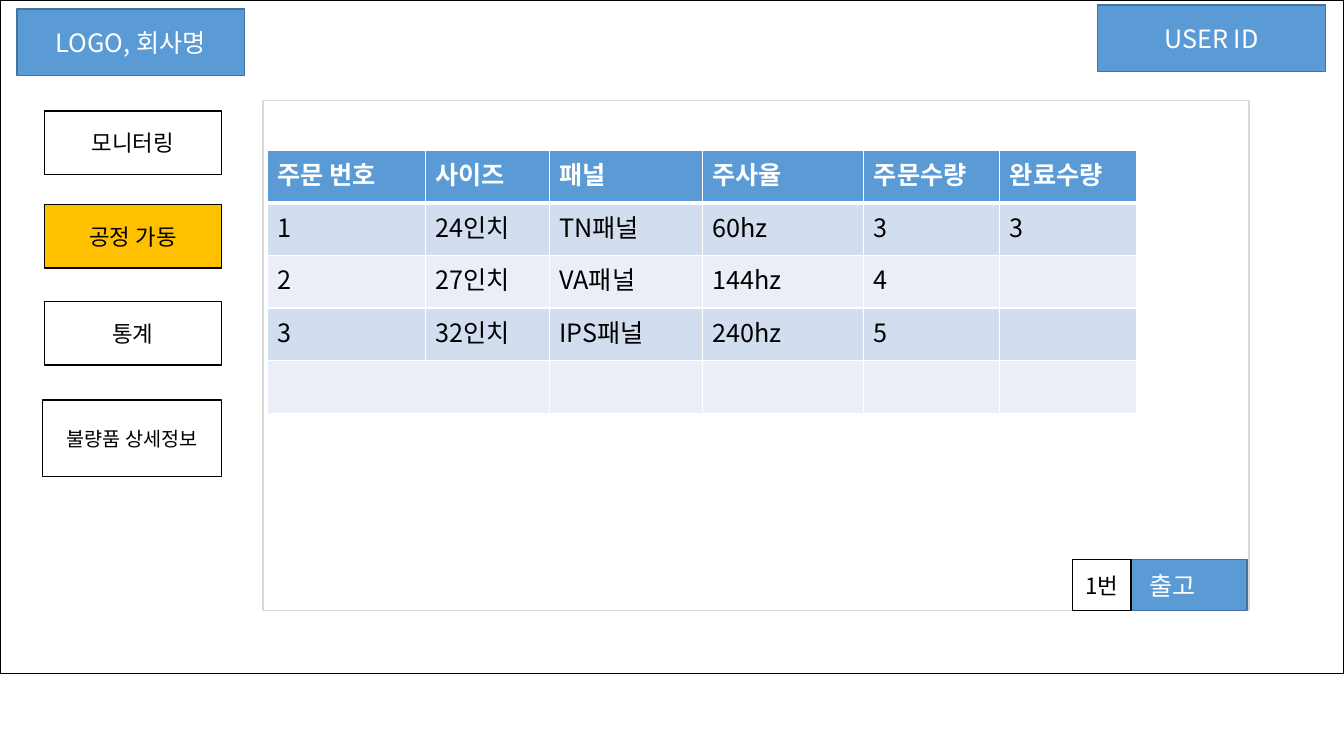
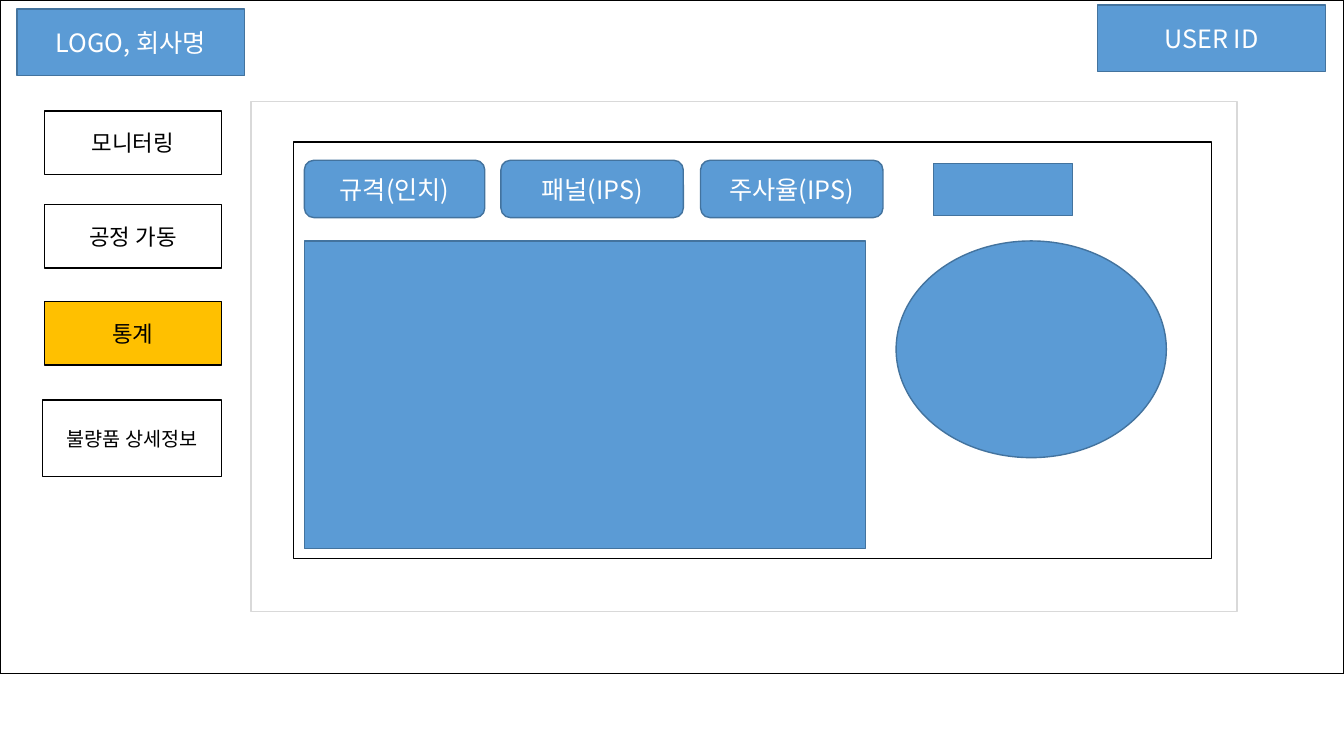
import pptx
import pptx.util
import pptx.dml.color
import pptx.enum.shapes
import pptx.enum.text
import pptx.oxml
import pptx.oxml.ns

Pt = pptx.util.Pt
RGBColor = pptx.dml.color.RGBColor
Kind = pptx.enum.shapes.MSO_SHAPE
Align = pptx.enum.text.PP_ALIGN
qn = pptx.oxml.ns.qn

FONT = "Noto Sans CJK KR"
BLACK = RGBColor(0x00, 0x00, 0x00)
WHITE = RGBColor(0xFF, 0xFF, 0xFF)
GREY = RGBColor(0xD9, 0xD9, 0xD9)
BLUE = RGBColor(0x5B, 0x9B, 0xD5)
DARK_BLUE = RGBColor(0x43, 0x73, 0x9E)
AMBER = RGBColor(0xFF, 0xC0, 0x00)
BAND_DARK = RGBColor(0xD2, 0xDE, 0xEF)
BAND_LIGHT = RGBColor(0xEA, 0xEF, 0xF7)

# Menu entries: text, left, top, width, height, text size
MENU = [
    ("모니터링", 31.7, 79.2, 126.7, 45.4, 16),
    ("공정 가동", 31.7, 146.2, 126.7, 45.4, 16),
    ("통계", 31.7, 215.3, 126.7, 45.4, 16),
    ("불량품 상세정보", 30.2, 285.8, 128.2, 54.7, 14),
]


def write(frame, text, size=18, color=BLACK, bold=False, align=Align.LEFT):
    """Put one formatted line of text into a text frame."""
    paragraph = frame.paragraphs[0]
    paragraph.alignment = align
    run = paragraph.add_run()
    run.text = text
    run.font.size = Pt(size)
    run.font.bold = bold
    run.font.color.rgb = color
    run.font.name = FONT
    # Hangul takes its face from the East Asian font
    east_asian = pptx.oxml.parse_xml(
        f'<a:ea {pptx.oxml.ns.nsdecls("a")} typeface="{FONT}"/>')
    run.font._element.find(qn("a:latin")).addnext(east_asian)


def set_border(cell, side, width):
    """Draw one white cell edge; side is L, R, T or B."""
    edge = pptx.oxml.parse_xml(
        f'<a:ln{side} {pptx.oxml.ns.nsdecls("a")} w="{Pt(width)}">'
        f'<a:solidFill><a:srgbClr val="{WHITE}"/></a:solidFill></a:ln{side}>')
    cell._tc.get_or_add_tcPr().insert("LRTB".index(side), edge)


class Screen:
    """Style of the mock-up and the slide being drawn."""

    def __init__(self):
        self.deck = pptx.Presentation()
        self.deck.slide_width = Pt(960)
        self.deck.slide_height = Pt(540)
        self.slide = None

    def start(self, active, panel_left, panel_top):
        """Open a slide with the window frame, panel, menu and header."""
        self.slide = self.deck.slides.add_slide(self.deck.slide_layouts[6])
        self.box(0, 0, 960, 481, fill=None)
        self.box(panel_left, panel_top, 704.2, 364.3, line=GREY)
        for text, left, top, width, height, size in MENU:
            self.box(left, top, width, height, text, size=size,
                     fill=AMBER if text == active else WHITE)
        self.button(784.1, 3.6, 162.7, 47.5, "USER ID")
        self.button(12.2, 6.5, 162.7, 47.5, "LOGO, 회사명")

    def box(self, left, top, width, height, text="", kind=Kind.RECTANGLE,
            fill=WHITE, line=BLACK, size=16, color=BLACK):
        shape = self.slide.shapes.add_shape(
            kind, Pt(left), Pt(top), Pt(width), Pt(height))
        shape.shadow.inherit = False
        if fill is None:
            shape.fill.background()
        else:
            shape.fill.solid()
            shape.fill.fore_color.rgb = fill
        shape.line.color.rgb = line
        shape.line.width = Pt(1)
        if text:
            shape.text_frame.word_wrap = False
            shape.text_frame.vertical_anchor = pptx.enum.text.MSO_ANCHOR.MIDDLE
            write(shape.text_frame, text, size=size, color=color,
                  align=Align.CENTER)

    def button(self, left, top, width, height, text="", kind=Kind.RECTANGLE):
        self.box(left, top, width, height, text, kind, fill=BLUE,
                 line=DARK_BLUE, size=18, color=WHITE)

    def table(self, left, top, widths, row_height, rows):
        """Banded table; the first row is the header."""
        table = self.slide.shapes.add_table(
            len(rows), len(widths), Pt(left), Pt(top),
            Pt(sum(widths)), Pt(row_height * len(rows))).table
        for column, width in zip(table.columns, widths):
            column.width = Pt(width)
        for r, row in enumerate(rows):
            header = r == 0
            band = BAND_DARK if r % 2 else BAND_LIGHT
            for c, text in enumerate(row):
                cell = table.cell(r, c)
                cell.fill.solid()
                cell.fill.fore_color.rgb = BLUE if header else band
                for side in "LRTB":
                    heavy = (r, side) in [(0, "B"), (1, "T")]
                    set_border(cell, side, 3 if heavy else 1)
                if text:
                    write(cell.text_frame, text, bold=header,
                          color=WHITE if header else BLACK)
        return table


screen = Screen()

# Slide 1: running orders
screen.start("공정 가동", 187.9, 72)
orders = screen.table(
    190.8, 107.3, [113, 88.6, 109.4, 115.2, 97.2, 97.9], 37.6, [
        ["주문 번호", "사이즈", "패널", "주사율", "주문수량", "완료수량"],
        ["1", "24인치", "TN패널", "60hz", "3", "3"],
        ["2", "27인치", "VA패널", "144hz", "4", ""],
        ["3", "32인치", "IPS패널", "240hz", "5", ""],
        [""] * 6,
    ])
orders.cell(4, 0).merge(orders.cell(4, 1))
screen.button(784.1, 399.6, 106.6, 36.7, "출고")
screen.box(766.1, 399.6, 41.8, 36.7, "1번")

# Slide 2: statistics
screen.start("통계", 179.3, 72.7)
screen.box(209.5, 101.5, 655.9, 297.4)
screen.button(217.4, 172.1, 401, 219.6)
screen.button(666.7, 116.6, 99.4, 37.4)
for left, width, label in [(217.4, 128.9, "규격(인치)"),
                           (357.8, 130.3, "패널(IPS)"),
                           (500.4, 130.3, "주사율(IPS)")]:
    screen.button(left, 114.5, width, 41, label, Kind.ROUNDED_RECTANGLE)
screen.button(640.1, 172.1, 193, 154.8, kind=Kind.OVAL)

screen.deck.save("out.pptx")
